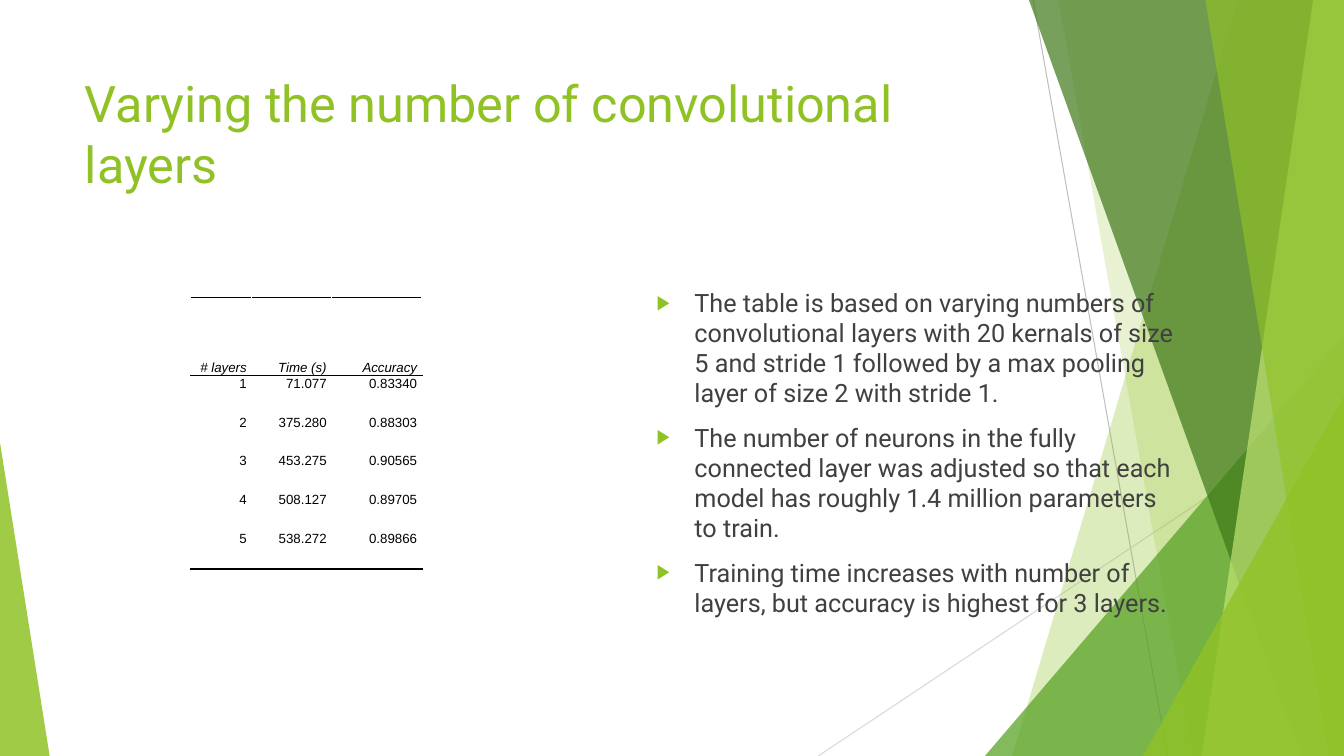
from collections import namedtuple
from dataclasses import dataclass

from lxml.etree import SubElement
from pptx import Presentation
from pptx.dml.color import RGBColor
from pptx.enum.shapes import MSO_CONNECTOR, MSO_SHAPE
from pptx.enum.text import MSO_ANCHOR, MSO_AUTO_SIZE, PP_ALIGN
from pptx.oxml import parse_xml
from pptx.oxml.ns import nsdecls, qn
from pptx.util import Pt

Box = namedtuple("Box", "x y w h")


@dataclass(frozen=True)
class Theme:
    lime: str = "90C226"
    green: str = "54A021"
    forest: str = "3F7819"
    pale: str = "C0E474"
    text: str = "404040"
    black: str = "000000"
    white: str = "FFFFFF"
    line_mid: str = "BFBFBF"
    line_light: str = "D9D9D9"
    font: str = "Roboto"
    table_font: str = "Arial"
    title_size: float = 36
    body_size: float = 18
    table_size: float = 9.5


THEME = Theme()

TITLE = "Varying the number of convolutional layers"
POINTS = [
    "The table is based on varying numbers of convolutional layers with 20 kernals "
    "of size 5 and stride 1 followed by a max pooling layer of size 2 with stride 1.",
    "The number of neurons in the fully connected layer was adjusted so that each "
    "model has roughly 1.4 million parameters to train.",
    "Training time increases with number of layers, but accuracy is highest for 3 layers.",
]
RESULTS = [
    ("# layers", "Time (s)", "Accuracy"),
    ("1", "71.077", "0.83340"),
    ("2", "375.280", "0.88303"),
    ("3", "453.275", "0.90565"),
    ("4", "508.127", "0.89705"),
    ("5", "538.272", "0.89866"),
]


def format_runs(p, font, size, color, italic=False):
    for r in p.runs:
        r.font.name = font
        r.font.size = Pt(size)
        r.font.italic = italic
        r.font.color.rgb = RGBColor.from_string(color)


def paint(sp, color, opacity):
    sp.shadow.inherit = False
    sp.fill.solid()
    sp.fill.fore_color.rgb = RGBColor.from_string(color)
    sp.line.fill.background()
    clr = sp.element.spPr.find(qn("a:solidFill"))[0]
    SubElement(clr, qn("a:alpha"), val=str(opacity * 1000))


def add_hairline(s, box, start, end, color):
    line = s.shapes.add_connector(
        MSO_CONNECTOR.STRAIGHT,
        Pt(box.x + start[0]), Pt(box.y + start[1]), Pt(box.x + end[0]), Pt(box.y + end[1]))
    line.line.color.rgb = RGBColor.from_string(color)
    line.line.width = Pt(0.75)
    SubElement(line.element.spPr, qn("a:effectLst"))


def add_wedge(s, box, top_x, bottom_x, color, opacity):
    """Full-height band from a slanted left side to the right edge of the box."""
    right, bottom = box.x + box.w, box.y + box.h
    builder = s.shapes.build_freeform(Pt(box.x + top_x), Pt(box.y))
    builder.add_line_segments([
        (Pt(right), Pt(box.y)), (Pt(right), Pt(bottom)), (Pt(box.x + bottom_x), Pt(bottom))])
    paint(builder.convert_to_shape(), color, opacity)


def add_corner(s, box, w, h, apex, color, opacity):
    """Right triangle in a bottom corner: apex 0 is left, 1 is right."""
    sp = s.shapes.add_shape(
        MSO_SHAPE.ISOSCELES_TRIANGLE,
        Pt(box.x + apex * (box.w - w)), Pt(box.y + box.h - h), Pt(w), Pt(h))
    sp.adjustments[0] = apex
    paint(sp, color, opacity)


def add_facets(s, box):
    add_hairline(s, box, (738, 0), (834, box.h), THEME.line_mid)
    add_hairline(s, box, (box.w, 290), (584.5, box.h), THEME.line_light)
    add_wedge(s, box, 884, 723, THEME.lime, 30)
    add_wedge(s, box, 756, 852, THEME.lime, 20)
    add_corner(s, box, 256.5, 300, 1, THEME.green, 72)
    add_wedge(s, box, 735, 929.5, THEME.forest, 70)
    add_wedge(s, box, 938, 858.5, THEME.pale, 70)
    add_wedge(s, box, 861, 949, THEME.lime, 65)
    add_corner(s, box, 143.5, 257, 1, THEME.lime, 80)
    add_corner(s, box, 35.5, 224, 0, THEME.lime, 85)


def add_title(s, box):
    title = s.shapes.title
    s.shapes.element.append(title.element)  # in front of the facets
    title.left, title.top, title.width, title.height = map(Pt, box)
    tf = title.text_frame
    tf.text = TITLE
    tf.auto_size = MSO_AUTO_SIZE.NONE
    tf.vertical_anchor = MSO_ANCHOR.TOP
    p = tf.paragraphs[0]
    p.alignment = PP_ALIGN.LEFT
    format_runs(p, THEME.font, THEME.title_size, THEME.lime)


def add_bullet(p):
    pPr = p._p.get_or_add_pPr()
    pPr.set("marL", str(Pt(27)))
    pPr.set("indent", str(Pt(-27)))
    SubElement(SubElement(pPr, qn("a:buClr")), qn("a:srgbClr"), val=THEME.lime)
    SubElement(pPr, qn("a:buSzPct"), val="80000")
    SubElement(pPr, qn("a:buFont"), typeface="Arial")
    SubElement(pPr, qn("a:buChar"), char="▶")


def add_points(s, box):
    tf = s.shapes.add_textbox(*map(Pt, box)).text_frame
    tf.word_wrap = True
    tf.margin_top = Pt(35)
    tf.text = "\n".join(POINTS)
    for i, p in enumerate(tf.paragraphs):
        p.space_before = Pt(10 if i else 0)
        add_bullet(p)
        format_runs(p, THEME.font, THEME.body_size, THEME.text)


def rule_cell(cell, sides):
    """Draw black rules on the given sides, e.g. "TB"."""
    tcPr = cell._tc.get_or_add_tcPr()
    for i, side in enumerate(sides):
        tcPr.insert(i, parse_xml(
            f'<a:ln{side} {nsdecls("a")} w="{Pt(1)}"><a:solidFill>'
            f'<a:srgbClr val="{THEME.black}"/></a:solidFill></a:ln{side}>'))


def add_results(s, box):
    n = len(RESULTS)
    table = s.shapes.add_table(n, 3, *map(Pt, box)).table
    table.first_row = table.horz_banding = False
    for col, share in zip(table.columns, (0.265, 0.345, 0.39)):
        col.width = Pt(box.w * share)
    row_h = box.h / (n + 1)  # the header takes two units
    for i, values in enumerate(RESULTS):
        table.rows[i].height = Pt(row_h if i else 2 * row_h)
        sides = {0: "TB", 1: "T", n - 1: "B"}.get(i, "")
        for j, value in enumerate(values):
            cell = table.cell(i, j)
            cell.text_frame.text = value
            cell.margin_left = cell.margin_right = Pt(3.6)
            cell.margin_top = cell.margin_bottom = 0
            cell.vertical_anchor = MSO_ANCHOR.TOP if i else MSO_ANCHOR.BOTTOM
            cell.fill.solid()
            cell.fill.fore_color.rgb = RGBColor.from_string(THEME.white)
            rule_cell(cell, sides)
            p = cell.text_frame.paragraphs[0]
            p.alignment = PP_ALIGN.RIGHT
            p.line_spacing = 1.07
            p.space_before = p.space_after = Pt(3.4)
            format_runs(p, THEME.table_font, THEME.table_size, THEME.black, italic=i == 0)


def main():
    prs = Presentation()
    prs.slide_width, prs.slide_height = Pt(960), Pt(540)
    s = prs.slides.add_slide(prs.slide_layouts[5])
    add_facets(s, Box(0, 0, 960, 540))
    add_title(s, Box(53.5, 48, 677, 104))
    add_points(s, Box(462, 170, 387.5, 305))
    add_results(s, Box(136, 212.5, 165.5, 194))
    prs.save("out.pptx")


if __name__ == "__main__":
    main()
